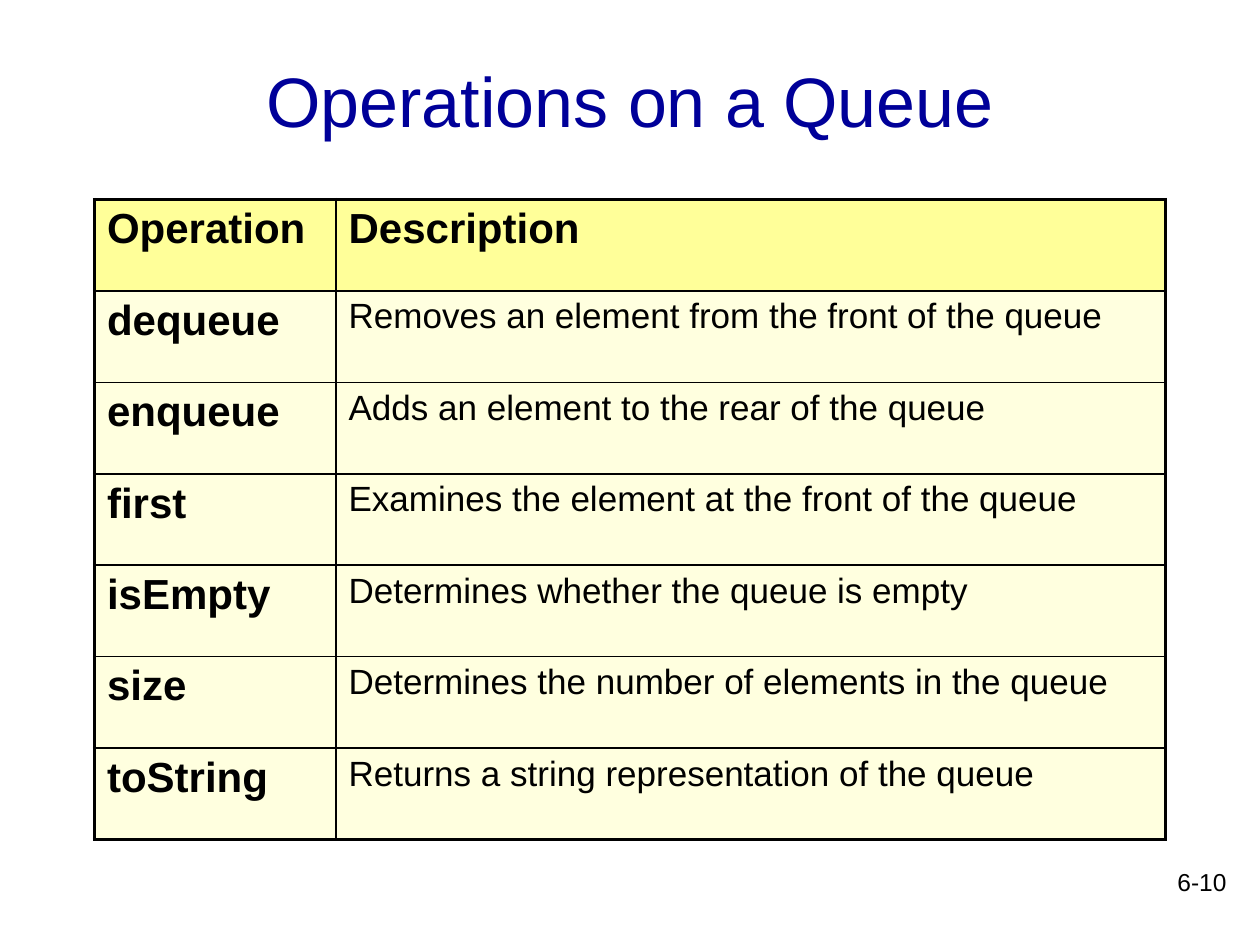
"""Build the slide that lists the operations on a queue, on a grid of 120 columns by 90 rows."""
from typing import NamedTuple

from lxml import etree
from pptx import Presentation
from pptx.dml.color import RGBColor
from pptx.enum.text import MSO_ANCHOR, PP_ALIGN
from pptx.oxml.ns import qn
from pptx.util import Inches, Pt

CENTER, RIGHT = PP_ALIGN.CENTER, PP_ALIGN.RIGHT
MIDDLE = MSO_ANCHOR.MIDDLE
TITLE_ONLY = 5
SLIDE_WIDTH, SLIDE_HEIGHT = Inches(10), Inches(7.5)
GRID_UNIT = SLIDE_WIDTH // 120
FONT = "Arial"
BLACK, NAVY = "000000", "000099"
HEADER_FILL, BODY_FILL = "FFFF99", "FFFFDF"
OUTER_BORDER, INNER_BORDER = 2.25, 1
COLUMN_SPANS = (23, 79)
ROW_SPAN = 8.71


class Area(NamedTuple):
    column: float
    row: float
    columns: float
    rows: float


class Operation(NamedTuple):
    name: str
    description: str


TITLE_AREA = Area(9, 2, 102, 15)
TABLE_AREA = Area(9, 19, sum(COLUMN_SPANS), 7 * ROW_SPAN)
PAGE_AREA = Area(93, 82, 25, 6)

HEADINGS = Operation("Operation", "Description")
OPERATIONS = (
    Operation("dequeue", "Removes an element from the front of the queue"),
    Operation("enqueue", "Adds an element to the rear of the queue"),
    Operation("first", "Examines the element at the front of the queue"),
    Operation("isEmpty", "Determines whether the queue is empty"),
    Operation("size", "Determines the number of elements in the queue"),
    Operation("toString", "Returns a string representation of the queue"),
)


def rgb(value: str) -> RGBColor:
    """Turn a hex string into a colour."""
    return RGBColor.from_string(value)


def units(count: float) -> int:
    """Turn grid units into a length."""
    return round(count * GRID_UNIT)


def write(frame, text: str, size: float, color: str = BLACK, bold: bool = False, align=None) -> None:
    """Fill a text frame with one formatted paragraph."""
    frame.text = text
    paragraph = frame.paragraphs[0]
    paragraph.alignment = align
    font = paragraph.font
    font.name, font.size, font.bold = FONT, Pt(size), bold
    font.color.rgb = rgb(color)


def add_border(cell, side: str, width: float) -> None:
    """Draw one solid black edge of a table cell."""
    properties = cell._tc.get_or_add_tcPr()
    edge = etree.SubElement(properties, qn(f"a:ln{side}"), w=str(Pt(width)))
    fill = etree.SubElement(edge, qn("a:solidFill"))
    etree.SubElement(fill, qn("a:srgbClr"), val=BLACK)


def add_title(slide, text: str) -> None:
    """Place and format the title placeholder."""
    title = slide.shapes.title
    title.left, title.top, title.width, title.height = map(units, TITLE_AREA)
    title.text_frame.vertical_anchor = MIDDLE
    write(title.text_frame, text, 40, NAVY, align=CENTER)


def add_operations(slide, rows: tuple[Operation, ...]) -> None:
    """Add the table, with a heavier border around its outside."""
    table = slide.shapes.add_table(len(rows), len(COLUMN_SPANS), *map(units, TABLE_AREA)).table
    for column, span in zip(table.columns, COLUMN_SPANS):
        column.width = units(span)
    last_row, last_column = len(rows) - 1, len(COLUMN_SPANS) - 1
    for r, operation in enumerate(rows):
        table.rows[r].height = units(ROW_SPAN)
        for c, text in enumerate(operation):
            cell = table.cell(r, c)
            outside = {"L": c == 0, "R": c == last_column, "T": r == 0, "B": r == last_row}
            for side, is_outer in outside.items():
                add_border(cell, side, OUTER_BORDER if is_outer else INNER_BORDER)
            cell.fill.solid()
            cell.fill.fore_color.rgb = rgb(HEADER_FILL if r == 0 else BODY_FILL)
            strong = r == 0 or c == 0
            write(cell.text_frame, text, 24 if strong else 20, bold=strong)


def add_page_number(slide, text: str) -> None:
    """Add the page number at the bottom right."""
    frame = slide.shapes.add_textbox(*map(units, PAGE_AREA)).text_frame
    frame.word_wrap = True
    write(frame, text, 14, align=RIGHT)


def main() -> None:
    """Build and save the presentation."""
    presentation = Presentation()
    presentation.slide_width, presentation.slide_height = SLIDE_WIDTH, SLIDE_HEIGHT
    slide = presentation.slides.add_slide(presentation.slide_layouts[TITLE_ONLY])
    add_title(slide, "Operations on a Queue")
    add_operations(slide, (HEADINGS, *OPERATIONS))
    add_page_number(slide, "6-10")
    presentation.save("out.pptx")


if __name__ == "__main__":
    main()
